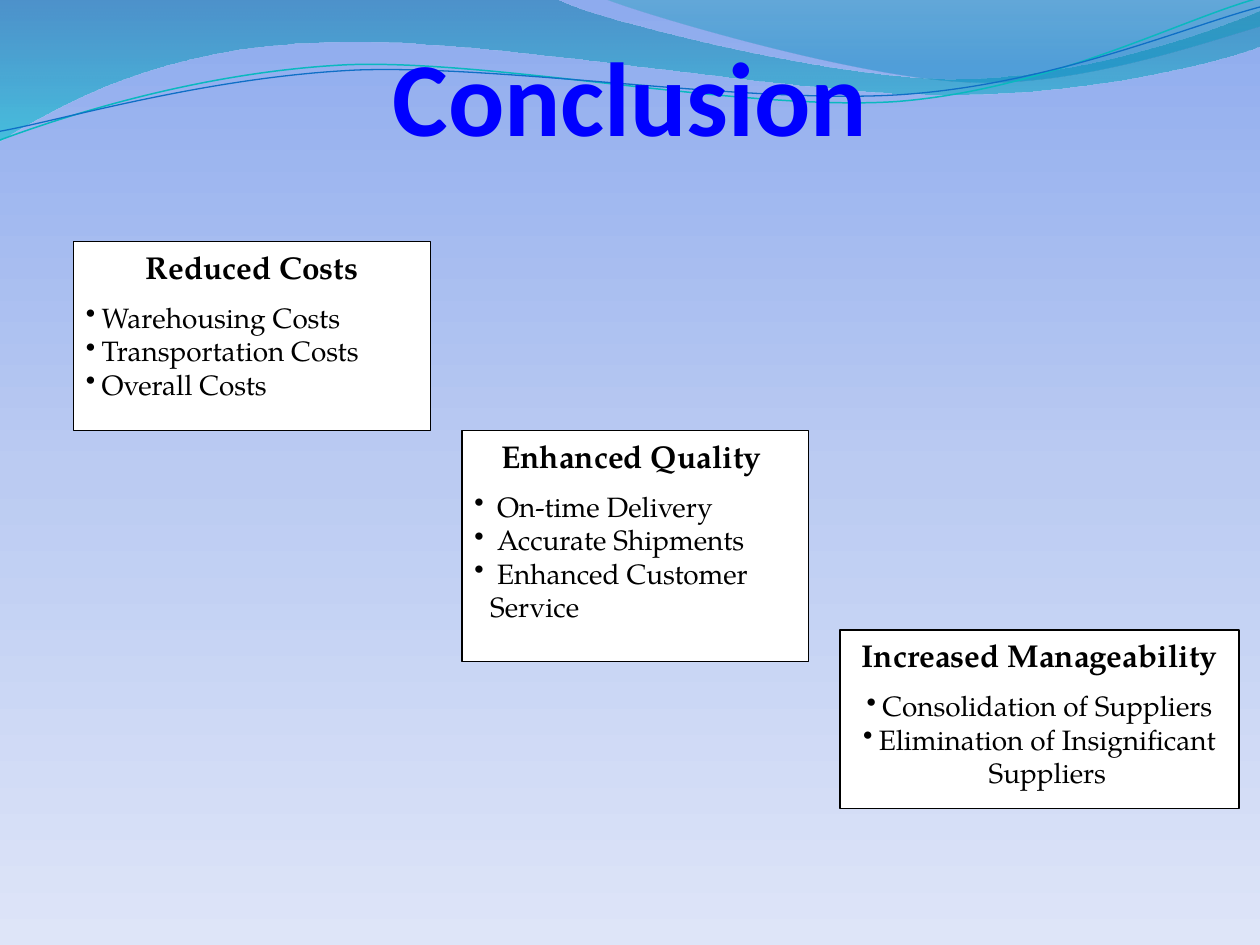
from lxml import etree
from pptx import Presentation
from pptx.dml.color import RGBColor
from pptx.enum import text as t
from pptx.enum.shapes import MSO_SHAPE
from pptx.oxml import ns
from pptx.util import Pt

BLACK = RGBColor(0, 0, 0)
WHITE = RGBColor(255, 255, 255)
TITLE_BLUE = RGBColor(0, 0, 255)
TEAL = RGBColor(0x0A, 0xB8, 0xBF)
BLUE = RGBColor(0x0F, 0x6F, 0xC6)
SKY = [
    (0, RGBColor(0x8E, 0xAB, 0xEE), 100),
    (50, RGBColor(0xBB, 0xCB, 0xF2), 100),
    (100, RGBColor(0xDE, 0xE5, 0xF8), 100),
]
LEFT_TINT = [(0, RGBColor(0, 0x74, 0xA1), 45), (100, RGBColor(0, 0xC6, 0xCF), 55)]
RIGHT_TINT = [(0, RGBColor(0, 0xA1, 0xA9), 30), (80, RGBColor(0, 0x8B, 0xBF), 45)]
SERIF = "TeX Gyre Pagella"

LEFT_WAVE = [
    (0, 0), (317, -1),
    (343, 12, 478, 45, 546, 45), (614, 45, 690, 19, 720, 6),
    (721, 26),
    (708, 32, 626, 55, 537, 54), (447, 54, 275, 20, 185, 24),
    (93, 26, 33, 60, -1, 81),
]
RIGHT_WAVE = [
    (345, -1), (367, 8, 491, 45, 554, 47), (616, 50, 692, 23, 720, 15), (720, 0),
]
TEAL_STRAND = [
    (0, 80), (35, 67, 114, 41, 199, 37), (284, 34, 427, 64, 513, 58),
    (600, 51, 675, 11, 719, -1),
]
BLUE_STRAND = [
    (0, 75), (34, 69, 118, 44, 204, 40), (290, 37, 430, 60, 516, 54),
    (602, 48, 678, 15, 720, 4),
]

BENEFITS = [
    ((42, 138, 204, 108), "Reduced Costs", t.PP_ALIGN.LEFT, 65.5,
     ["Warehousing Costs", "Transportation Costs", "Overall Costs"]),
    ((264, 246, 198, 132), "Enhanced Quality ", t.PP_ALIGN.LEFT, 103.5,
     [" On-time Delivery", " Accurate Shipments", " Enhanced Customer Service"]),
    ((480, 360, 228, 102), "Increased Manageability", t.PP_ALIGN.CENTER, 65.5,
     ["Consolidation of Suppliers", "Elimination of Insignificant Suppliers"]),
]


def add_node(parent, tag, **attributes):
    return etree.SubElement(parent, ns.qn(tag), attributes)


def paint_gradient(fill, element, stops):
    fill.gradient()
    gradient = next(element.iter(ns.qn("a:gradFill")))
    for child in list(gradient):
        gradient.remove(child)
    stop_list = add_node(gradient, "a:gsLst")
    for position, color, opacity in stops:
        stop = add_node(stop_list, "a:gs", pos=str(position * 1000))
        shade = add_node(stop, "a:srgbClr", val=str(color))
        if opacity < 100:
            add_node(shade, "a:alpha", val=str(opacity * 1000))
    add_node(gradient, "a:lin", ang="5400000", scaled="0")


def add_outline(slide, outline, closed):
    ends = [(Pt(segment[-2]), Pt(segment[-1])) for segment in outline]
    builder = slide.shapes.build_freeform(*ends[0])
    builder.add_line_segments(ends[1:], close=closed)
    curve = builder.convert_to_shape()
    curve.shadow.inherit = False
    sides = list(curve.element.iter(ns.qn("a:lnTo")))
    for side, segment in zip(sides, outline[1:]):
        if len(segment) == 6:
            bend_side(curve, side, segment)
    return curve


def bend_side(curve, side, segment):
    bend = etree.Element(ns.qn("a:cubicBezTo"))
    for x, y in zip(segment[::2], segment[1::2]):
        add_node(bend, "a:pt", x=str(Pt(x) - curve.left), y=str(Pt(y) - curve.top))
    side.getparent().replace(side, bend)


def add_wave(slide, outline, stops):
    wave = add_outline(slide, outline, True)
    paint_gradient(wave.fill, wave.element, stops)
    wave.line.fill.background()


def add_strand(slide, outline, color, width):
    strand = add_outline(slide, outline, False)
    strand.fill.background()
    strand.line.color.rgb = color
    strand.line.width = Pt(width)


def add_run(paragraph, words, font, size, color, bold=False):
    run = paragraph.add_run()
    run.text = words
    run.font.name = font
    run.font.size = Pt(size)
    run.font.color.rgb = color
    run.font.bold = bold


def set_title(slide, words):
    title = slide.shapes.title
    title.left, title.top, title.width, title.height = Pt(0), Pt(0), Pt(720), Pt(90)
    frame = title.text_frame
    frame.auto_size = t.MSO_AUTO_SIZE.NONE
    frame.vertical_anchor = t.MSO_ANCHOR.BOTTOM
    frame.margin_left = frame.margin_right = frame.margin_bottom = Pt(0)
    frame.margin_top = Pt(3.6)
    heading = frame.paragraphs[0]
    heading.alignment = t.PP_ALIGN.CENTER
    add_run(heading, words, "Calibri", 60, TITLE_BLUE, True)
    title.element.getparent().append(title.element)


def add_panel(slide, place):
    panel = slide.shapes.add_shape(MSO_SHAPE.RECTANGLE, *map(Pt, place))
    panel.shadow.inherit = False
    panel.fill.solid()
    panel.fill.fore_color.rgb = WHITE
    panel.line.color.rgb = BLACK
    panel.line.width = Pt(1)


def add_text(slide, place, lines, alignment, size, bold=False, bulleted=False):
    frame = slide.shapes.add_textbox(*map(Pt, place)).text_frame
    frame.word_wrap = True
    frame.auto_size = t.MSO_AUTO_SIZE.SHAPE_TO_FIT_TEXT
    for index, words in enumerate(lines):
        paragraph = frame.add_paragraph() if index else frame.paragraphs[0]
        paragraph.alignment = alignment
        add_run(paragraph, words, SERIF, size, BLACK, bold)
        if bulleted:
            properties = paragraph._p.get_or_add_pPr()
            properties.set("marL", str(Pt(9)))
            properties.set("indent", str(-Pt(9)))
            add_node(properties, "a:buFontTx")
            add_node(properties, "a:buChar", char="•")


def add_benefit(slide, place, heading, alignment, list_height, items):
    left, top, width, _ = place
    add_panel(slide, place)
    add_text(slide, (left, top, width, 29), [heading], t.PP_ALIGN.CENTER, 18, bold=True)
    add_text(slide, (left, top + 30, width, list_height), items, alignment, 16,
             bulleted=True)


def main():
    deck = Presentation()
    deck.slide_width, deck.slide_height = Pt(720), Pt(540)
    slide = deck.slides.add_slide(deck.slide_layouts[5])
    paint_gradient(slide.background.fill, slide.element, SKY)
    add_wave(slide, LEFT_WAVE, LEFT_TINT)
    add_wave(slide, RIGHT_WAVE, RIGHT_TINT)
    add_strand(slide, TEAL_STRAND, TEAL, 0.85)
    add_strand(slide, BLUE_STRAND, BLUE, 0.75)
    set_title(slide, "Conclusion")
    for benefit in BENEFITS:
        add_benefit(slide, *benefit)
    deck.save("out.pptx")


main()
